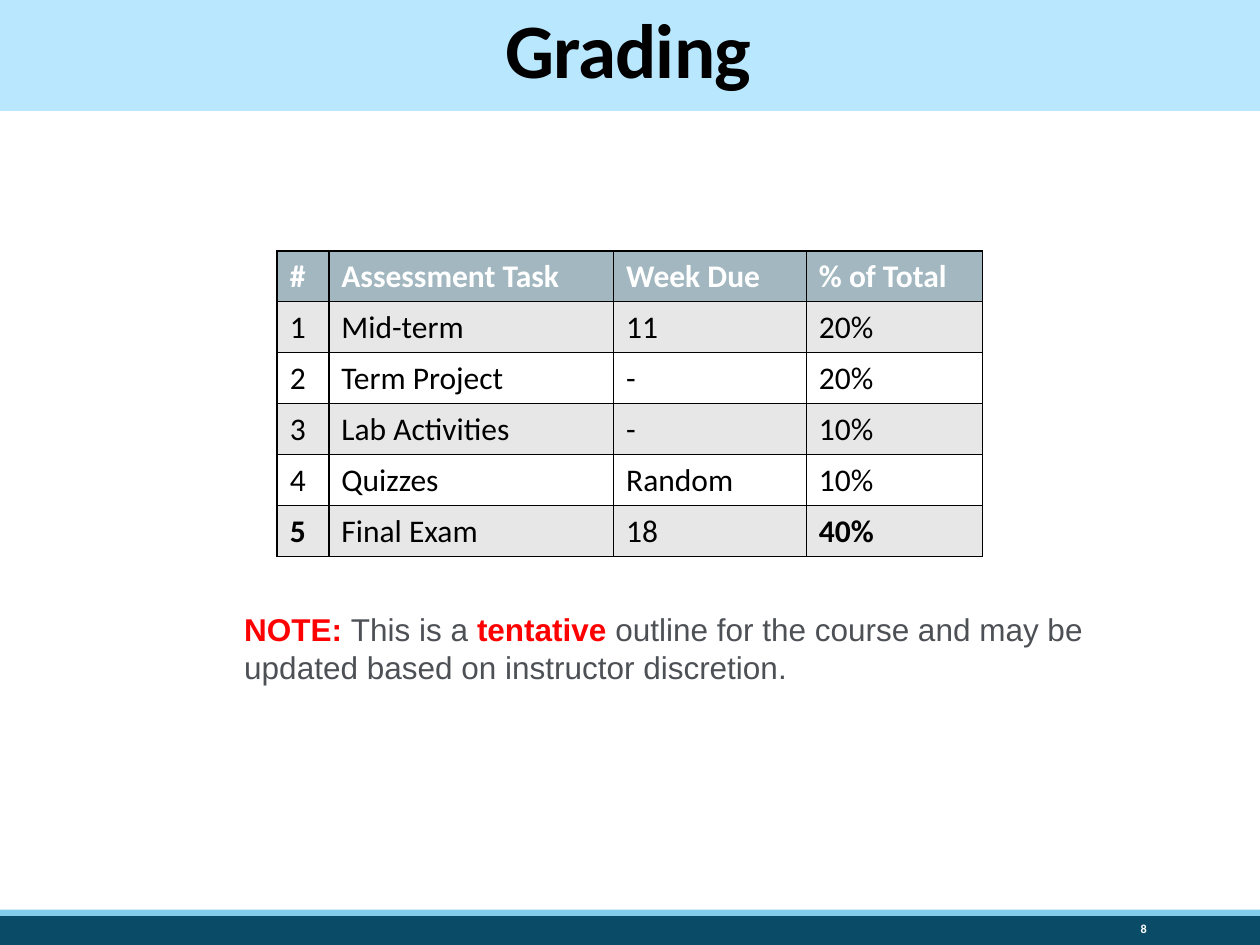
import pptx
import pptx.dml.color
import pptx.enum.shapes
import pptx.enum.text
import pptx.oxml
import pptx.oxml.ns
import pptx.util
from pptx.util import Inches

ALIGN = pptx.enum.text.PP_ALIGN
ANCHOR = pptx.enum.text.MSO_ANCHOR
GRADES = [
    ["#", "Assessment Task", "Week Due", "% of Total"],
    ["1", "Mid-term", "11", "20%"],
    ["2", "Term Project", "-", "20%"],
    ["3", "Lab Activities", "-", "10%"],
    ["4", "Quizzes", "Random", "10%"],
    ["5", "Final Exam", "18", "40%"],
]
COLUMN_SHARES = [0.41, 2.26, 1.53, 1.4]
BOLD_CELLS = {"5", "40%"}
NOTE = [
    ("NOTE: ", "FF0000", True),
    ("This is a ", "4D5156", False),
    ("tentative ", "FF0000", True),
    ("outline for the course and may be updated based on instructor discretion.", "4D5156", False),
]


def paint(color_holder, hex_color):
    if hasattr(color_holder, "solid"):
        color_holder.solid()
        color_holder = color_holder.fore_color
    else:
        color_holder = color_holder.color
    color_holder.rgb = pptx.dml.color.RGBColor.from_string(hex_color)


def style(run, size, hex_color, bold=False, face="Calibri"):
    run.font.name = face
    run.font.size = pptx.util.Pt(size)
    run.font.bold = bold
    paint(run.font, hex_color)


def add_band(slide, left, top, width, height, hex_color):
    band = slide.shapes.add_shape(
        pptx.enum.shapes.MSO_SHAPE.RECTANGLE, left, top, width, height)
    band.shadow.inherit = False
    paint(band.fill, hex_color)
    band.line.fill.background()


def add_header(slide, left, top, width, height):
    title = slide.shapes.title
    title.left, title.top, title.width, title.height = left, top, width, height
    paint(title.fill, "B9E7FD")
    title.text_frame.text = "Grading"
    title.text_frame.auto_size = pptx.enum.text.MSO_AUTO_SIZE.NONE
    title.text_frame.vertical_anchor = ANCHOR.MIDDLE
    heading = title.text_frame.paragraphs[0]
    heading.alignment = ALIGN.CENTER
    heading.line_spacing = 0.85
    style(heading.runs[0], 44, "000000", True)
    heading.runs[0].font._element.set("spc", "-50")


def add_footer(slide, left, top, width, height):
    stripe = Inches(0.05)
    add_band(slide, left, top + stripe, width, height - stripe, "0A4B67")
    add_band(slide, left, top, width, stripe, "84CDEA")
    number = slide.shapes.add_textbox(
        left + Inches(8.12), top + stripe, Inches(1.08), Inches(0.21)).text_frame
    number.word_wrap = True
    number.vertical_anchor = ANCHOR.MIDDLE
    number.text = "8"
    line = number.paragraphs[0]
    line.alignment = ALIGN.RIGHT
    line.line_spacing = 0.9
    line.space_after = pptx.util.Pt(6)
    style(line.runs[0], 7, "FFFFFF", True)


def add_borders(cell):
    properties = cell._tc.get_or_add_tcPr()
    for side in ("lnL", "lnR", "lnT", "lnB"):
        properties.append(pptx.oxml.parse_xml(
            f'<a:{side} {pptx.oxml.ns.nsdecls("a")} w="12700"><a:solidFill>'
            f'<a:srgbClr val="000000"/></a:solidFill></a:{side}>'))


def add_grades(slide, left, top, width, height):
    table = slide.shapes.add_table(
        len(GRADES), len(COLUMN_SHARES), left, top, width, height).table
    for column, share in zip(table.columns, COLUMN_SHARES):
        column.width = int(width * share / sum(COLUMN_SHARES))
    for row_index, entries in enumerate(GRADES):
        is_header = row_index == 0
        row_fill = "A2B7C0" if is_header else "E7E7E7" if row_index % 2 else "FFFFFF"
        for column_index, entry in enumerate(entries):
            cell = table.cell(row_index, column_index)
            add_borders(cell)
            paint(cell.fill, row_fill)
            cell.text_frame.text = entry
            style(cell.text_frame.paragraphs[0].runs[0], 18,
                  "FFFFFF" if is_header else "000000",
                  is_header or entry in BOLD_CELLS)


def add_note(slide, left, top, width, height):
    note = slide.shapes.add_textbox(left, top, width, height).text_frame
    note.word_wrap = True
    note.auto_size = pptx.enum.text.MSO_AUTO_SIZE.SHAPE_TO_FIT_TEXT
    for words, hex_color, bold in NOTE:
        run = note.paragraphs[0].add_run()
        run.text = words
        style(run, 18, hex_color, bold, "Arial")


def main():
    deck = pptx.Presentation()
    deck.slide_width, deck.slide_height = Inches(10), Inches(7.5)
    slide = deck.slides.add_slide(deck.slide_layouts[5])
    add_footer(slide, 0, Inches(7.22), Inches(10), Inches(0.29))
    add_header(slide, Inches(-0.03), Inches(-0.01), Inches(10.03), Inches(0.89))
    add_grades(slide, Inches(2.2), Inches(1.99), Inches(5.6), Inches(2.43))
    add_note(slide, Inches(1.84), Inches(4.79), Inches(7.07), Inches(0.71))
    deck.save("out.pptx")


if __name__ == "__main__":
    main()
